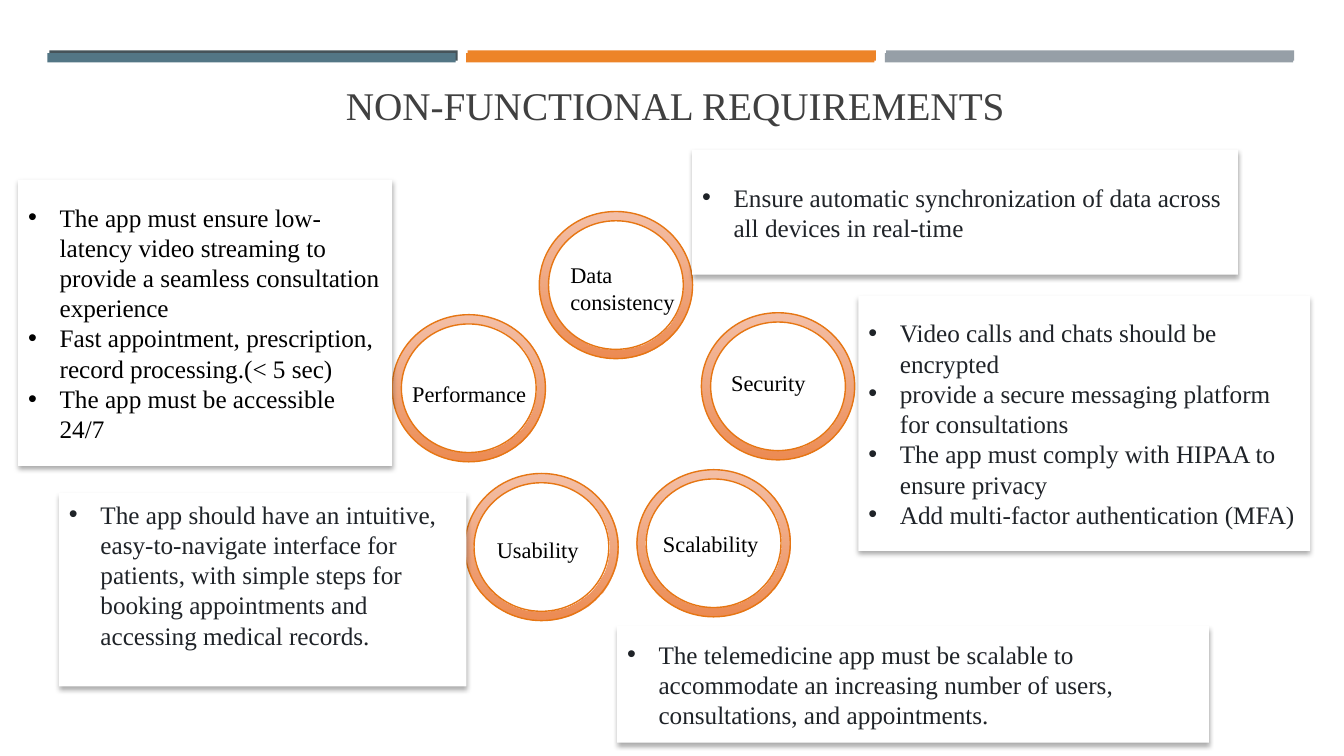
import dataclasses

import lxml.etree
import pptx
import pptx.dml.color
import pptx.enum.shapes
import pptx.enum.text
import pptx.oxml.ns
import pptx.util

Pt = pptx.util.Pt
Shape = pptx.enum.shapes.MSO_SHAPE
Anchor = pptx.enum.text.MSO_ANCHOR
Align = pptx.enum.text.PP_ALIGN
AutoSize = pptx.enum.text.MSO_AUTO_SIZE


@dataclasses.dataclass(frozen=True)
class Theme:
    font: str = "Times New Roman"
    title_size: float = 28
    label_size: float = 16
    body_size: float = 18
    title: str = "404040"
    black: str = "000000"
    body: str = "1F2328"
    card: str = "FFFFFF"
    bars_back: tuple = ("465359", "ED8428", "969FA7")
    bars_front: tuple = ("537685", "ED8428", "969FA7")
    ring_stops: tuple = ("F3B89D", "ED8C53")
    ring_line: str = "E67613"


THEME = Theme()
RING_SIZE = (109.5, 105.1)
LABEL_WIDTH = 115.2
INDENT = 22.5

# Requirement: ring corner, label offset in the ring, label height
RINGS = {
    "Performance": ((280.1, 224.8), (7.2, 43), 26.6),
    "Usability": ((332, 338.2), (15.8, 41.2), 26.6),
    "Scalability": ((455, 335.5), (11.5, 39.6), 26.6),
    "Data consistency": ((385.2, 151.1), (15.1, 31.8), 46),
    "Security": ((501, 223.4), (14.2, 36.5), 26.6),
}

# Card: box, text colour, bottom inset, bullet points
CARDS = [
    ((13, 128.3, 267.1, 204.6), THEME.black, 3.6, [
        "The app must ensure low-latency video streaming to provide a seamless consultation experience",
        "Fast appointment, prescription, record processing.(< 5 sec)",
        "The app must be accessible 24/7"]),
    ((494.4, 106.9, 389.9, 89.3), THEME.body, 3.6, [
        "Ensure automatic synchronization of data across all devices in real-time"]),
    ((613.2, 211.4, 322.6, 182.2), THEME.body, 3.6, [
        "Video calls and chats should be encrypted",
        "provide a secure messaging platform for consultations",
        "The app must comply with HIPAA to ensure privacy",
        "Add multi-factor authentication (MFA)"]),
    ((42.2, 352.1, 290.9, 138.2), THEME.body, 25.2, [
        "The app should have an intuitive, easy-to-navigate interface for patients, "
        "with simple steps for booking appointments and accessing medical records."]),
    ((440.8, 447.1, 422.8, 83.3), THEME.body, 3.6, [
        "The telemedicine app must be scalable to accommodate an increasing number of users, "
        "consultations, and appointments."]),
]


def color(value):
    return pptx.dml.color.RGBColor.from_string(value)


def apply(target, values):
    for name, value in values.items():
        setattr(target, name, value)


def add_node(parent, tag, **attributes):
    return lxml.etree.SubElement(parent, pptx.oxml.ns.qn(tag), attributes)


def write(frame, lines, size, ink, **frame_values):
    apply(frame, {"word_wrap": True, "auto_size": AutoSize.NONE, **frame_values})
    for index, line in enumerate(lines):
        para = frame.add_paragraph() if index else frame.paragraphs[0]
        para.alignment = Align.LEFT
        span = para.add_run()
        span.text = line
        apply(span.font, {"name": THEME.font, "size": Pt(size)})
        span.font.color.rgb = color(ink)


def add_block(page, kind, box, fill=None):
    block = page.shapes.add_shape(kind, *map(Pt, box))
    block.shadow.inherit = False
    if fill:
        block.fill.solid()
        block.fill.fore_color.rgb = color(fill)
        block.line.fill.background()
    return block


def add_bars(page, box, fills, step):
    left, top, width, height = box
    for index, fill in enumerate(fills):
        add_block(page, Shape.RECTANGLE, (left + index * step, top, width, height), fill)


def add_title(page, box, text):
    title = page.shapes.title
    apply(title, dict(zip(("left", "top", "width", "height"), map(Pt, box))))
    write(title.text_frame, [text], THEME.title_size, THEME.title,
          vertical_anchor=Anchor.BOTTOM)


def add_ring(page, box):
    ring = add_block(page, Shape.DONUT, box)
    ring.adjustments[0] = 0.063
    ring.fill.gradient()
    ring.fill.gradient_angle = 270
    for stop, value, position in zip(ring.fill.gradient_stops, THEME.ring_stops, (0, 1)):
        stop.color.rgb = color(value)
        stop.position = position
    # The light end is slightly transparent
    light = next(ring._element.spPr.iter(pptx.oxml.ns.qn("a:srgbClr")))
    add_node(light, "a:alpha", val="90000")
    ring.line.color.rgb = color(THEME.ring_line)
    ring.line.width = Pt(1)


def add_label(page, box, text):
    label = page.shapes.add_textbox(*map(Pt, box))
    write(label.text_frame, [text], THEME.label_size, THEME.black)


def add_card(page, box, ink, bottom, lines):
    card = add_block(page, Shape.RECTANGLE, box, THEME.card)
    # Soft shadow below the card
    effects = card._element.spPr.find(pptx.oxml.ns.qn("a:effectLst"))
    shadow = add_node(effects, "a:outerShdw", blurRad=str(Pt(3.5)), dist=str(Pt(2.2)),
                      dir="5400000", algn="t", rotWithShape="0")
    tint = add_node(shadow, "a:srgbClr", val=THEME.black)
    add_node(tint, "a:alpha", val="32000")
    write(card.text_frame, lines, THEME.body_size, ink,
          vertical_anchor=Anchor.MIDDLE, margin_bottom=Pt(bottom))
    # Hanging bullets
    for para in card.text_frame.paragraphs:
        settings = para._p.get_or_add_pPr()
        settings.set("marL", str(Pt(INDENT)))
        settings.set("indent", str(-Pt(INDENT)))
        add_node(settings, "a:buFont", typeface="Arial")
        add_node(settings, "a:buChar", char="•")


def build_requirements(deck):
    page = deck.slides.add_slide(deck.slide_layouts[5])
    add_bars(page, (35.3, 36, 291.6, 7.4), THEME.bars_back, 298.8)
    add_bars(page, (33.9, 38, 291.6, 6.5), THEME.bars_front, 299.1)
    add_title(page, (239.8, 51.8, 506.2, 43.2), "NON-FUNCTIONAL REQUIREMENTS")
    for corner, _, _ in RINGS.values():
        add_ring(page, (*corner, *RING_SIZE))
    for text, ((left, top), (right, down), height) in RINGS.items():
        add_label(page, (left + right, top + down, LABEL_WIDTH, height), text)
    for card in CARDS:
        add_card(page, *card)


def main():
    deck = pptx.Presentation()
    apply(deck, {"slide_width": Pt(960), "slide_height": Pt(540)})
    build_requirements(deck)
    deck.save("out.pptx")


if __name__ == "__main__":
    main()
